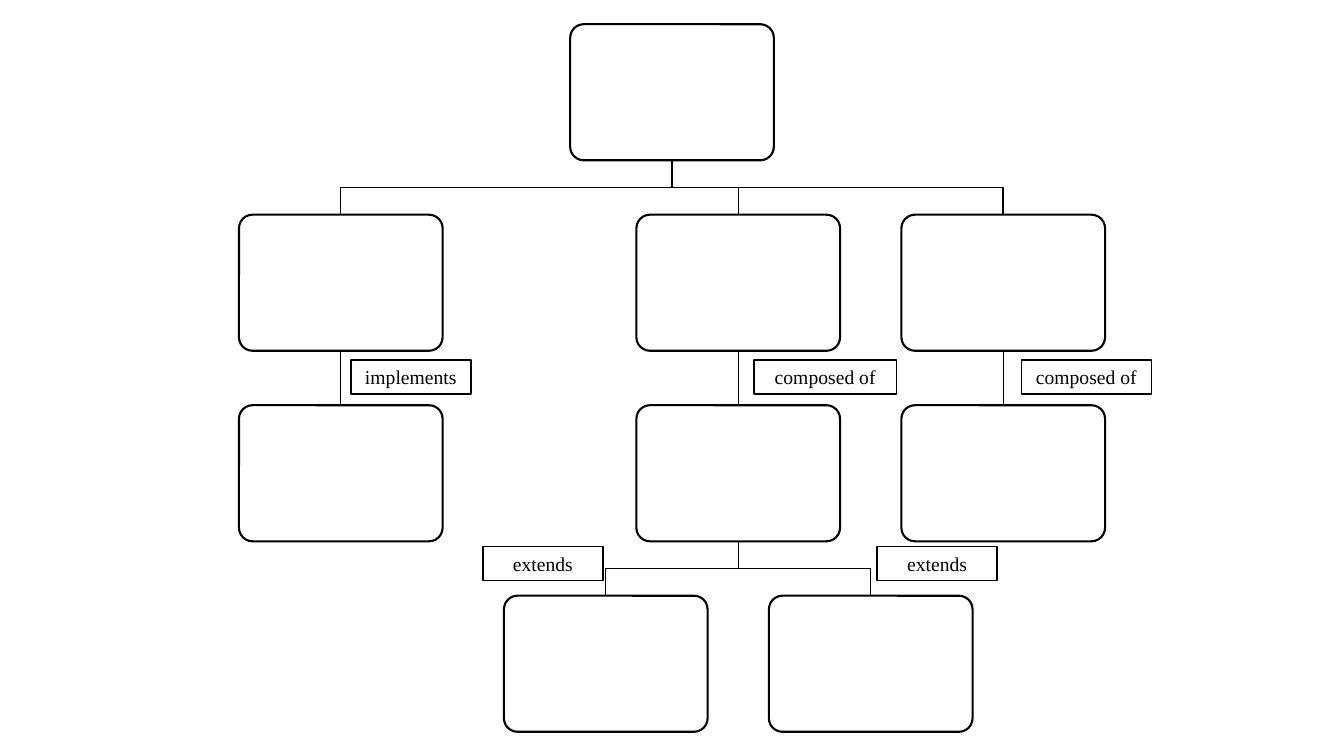
import dataclasses
import itertools

import pptx
import pptx.dml.color
import pptx.enum.shapes
import pptx.enum.text
import pptx.oxml
import pptx.oxml.ns
import pptx.util

BLACK = pptx.dml.color.RGBColor(0x00, 0x00, 0x00)
WHITE = pptx.dml.color.RGBColor(0xFF, 0xFF, 0xFF)
FONT = "Times New Roman"

WIDE, HIGH = 13.33, 7.5
FIRST, LAST, COLS = 3.38, 9.95, 10
COL = (LAST - FIRST) / COLS
TOP, ROW = 0.24, 1.89
BOX_W, BOX_H = 2.02, 1.35
TAG_H = 0.34
SHAPE = pptx.enum.shapes.MSO_SHAPE


@dataclasses.dataclass(frozen=True)
class Node:
    col: int
    row: int

    @property
    def mid(self) -> float:
        return FIRST + self.col * COL

    @property
    def top(self) -> float:
        return TOP + self.row * ROW

    @property
    def base(self) -> float:
        return self.top + BOX_H


@dataclasses.dataclass(frozen=True)
class Tag:
    text: str
    left: float
    top: float
    width: float


ROOT = Node(5, 0)
HEADS = [Node(col, 1) for col in (0, 6, 10)]
PARTS = [Node(node.col, 2) for node in HEADS]
LEAVES = [Node(col, 3) for col in (4, 8)]
NODES = [ROOT, *HEADS, *PARTS, *LEAVES]
LINKS = [
    *itertools.product([ROOT], HEADS),
    *zip(HEADS, PARTS),
    *itertools.product([PARTS[1]], LEAVES),
]
TAGS = [
    Tag("implements", 3.48, 3.57, 1.19),
    Tag("composed of", 7.48, 3.57, 1.41),
    Tag("composed of", 10.13, 3.57, 1.29),
    Tag("extends", 8.7, 5.42, 1.19),
    Tag("extends", 4.79, 5.42, 1.19),
]


def inch(size: float) -> int:
    return pptx.util.Inches(size)


def ink(item, width: float) -> None:
    item.line.color.rgb = BLACK
    item.line.width = pptx.util.Pt(width)


def add_box(slide, kind, left: float, top: float, width: float, height: float, line: float):
    box = slide.shapes.add_shape(kind, inch(left), inch(top), inch(width), inch(height))
    box.shadow.inherit = False
    box.fill.solid()
    box.fill.fore_color.rgb = WHITE
    ink(box, line)
    return box


def add_node(slide, node: Node):
    box = add_box(slide, SHAPE.ROUNDED_RECTANGLE, node.mid - BOX_W / 2, node.top,
                  BOX_W, BOX_H, 1.5)
    box.adjustments[0] = 0.1
    return box


def write(box, text: str, *, size: float = 14, font: str = FONT, color=BLACK,
          align=pptx.enum.text.PP_ALIGN.CENTER) -> None:
    frame = box.text_frame
    frame.word_wrap = True
    frame.auto_size = pptx.enum.text.MSO_AUTO_SIZE.SHAPE_TO_FIT_TEXT
    para = frame.paragraphs[0]
    para.alignment = align
    run = para.add_run()
    run.text = text
    run.font.size = pptx.util.Pt(size)
    run.font.name = font
    run.font.color.rgb = color


def add_drop(slide, start, end) -> None:
    kind = pptx.enum.shapes.MSO_CONNECTOR.STRAIGHT
    line = slide.shapes.add_connector(kind, 0, 0, 0, 0)
    line.begin_connect(start, 2)
    line.end_connect(end, 0)
    ink(line, 1)
    props = line._element.spPr
    props.append(pptx.oxml.parse_xml(f"<a:effectLst {pptx.oxml.ns.nsdecls('a')}/>"))


def add_bend(slide, start: Node, end: Node) -> None:
    half = (start.base + end.top) / 2
    spots = [(start.mid, start.base), (start.mid, half), (end.mid, half), (end.mid, end.top)]
    first, *rest = [(inch(x), inch(y)) for x, y in spots]
    maker = slide.shapes.build_freeform(*first)
    maker.add_line_segments(rest, close=False)
    line = maker.convert_to_shape()
    line.shadow.inherit = False
    line.fill.background()
    ink(line, 1)


def main() -> None:
    deck = pptx.Presentation()
    deck.slide_width, deck.slide_height = inch(WIDE), inch(HIGH)
    slide = deck.slides.add_slide(deck.slide_layouts[6])
    boxes = {node: add_node(slide, node) for node in NODES}
    for start, end in LINKS:
        if start.col == end.col:
            add_drop(slide, boxes[start], boxes[end])
        else:
            add_bend(slide, start, end)
    for tag in TAGS:
        box = add_box(slide, SHAPE.RECTANGLE, tag.left, tag.top, tag.width, TAG_H, 1)
        write(box, tag.text)
    deck.save("out.pptx")


if __name__ == "__main__":
    main()
